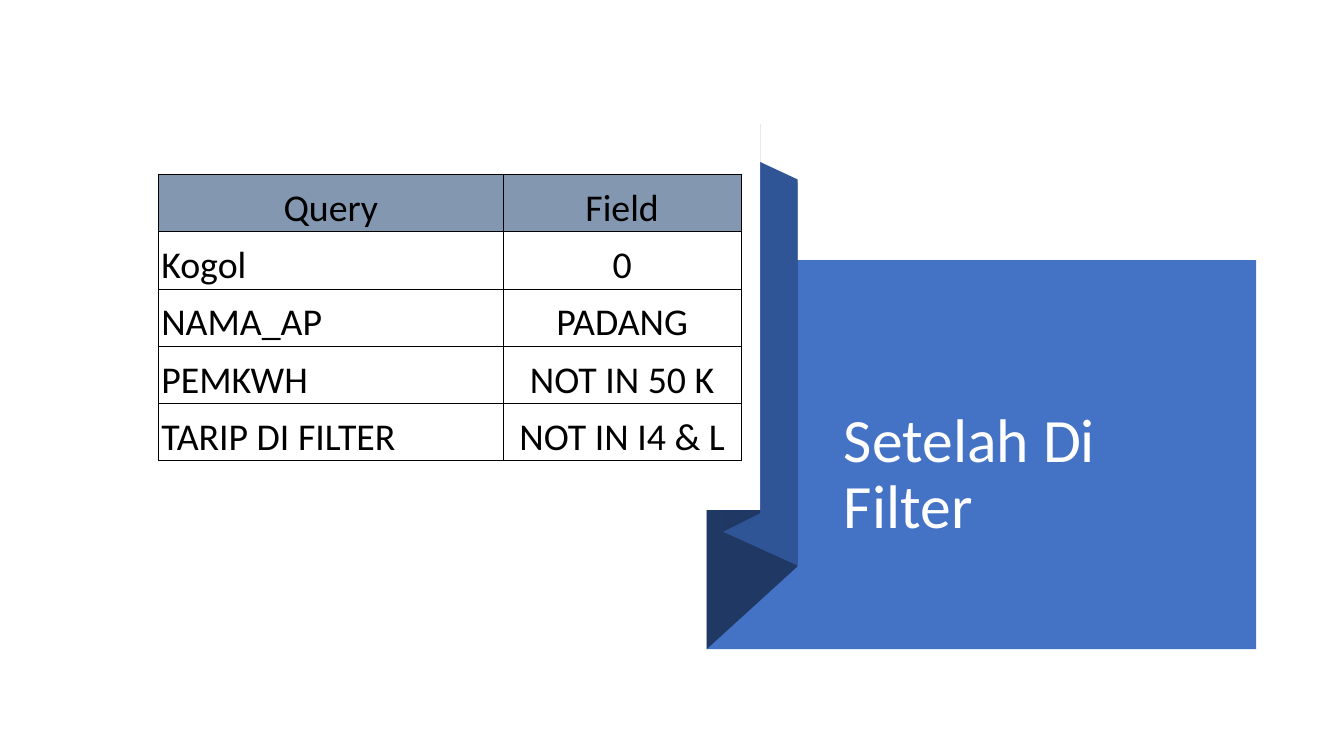
from lxml.etree import SubElement
from pptx import Presentation
from pptx.dml.color import RGBColor
from pptx.enum.shapes import MSO_SHAPE
from pptx.enum.text import MSO_ANCHOR, MSO_AUTO_SIZE, PP_ALIGN
from pptx.oxml.ns import qn
from pptx.util import Inches, Pt

COLORS = {
    "panel": "4472C4",
    "fold": "2F5597",
    "shade": "203864",
    "header": "8497B0",
    "paper": "FFFFFF",
    "ink": "000000",
}
FONT = "Calibri"
FILTERS = [
    ("Query", "Field"),
    ("Kogol", "0"),
    ("NAMA_AP", "PADANG"),
    ("PEMKWH", "NOT IN 50 K"),
    ("TARIP DI FILTER", "NOT IN I4 & L"),
]
RIBBON = [
    ("shade", [(0.9, 4.39), (0, 5.21), (0, 1.4), (0.9, 0.58)]),
    ("fold", [(0.9, 4.38), (0.15, 4.04), (0.15, 0.2), (0.9, 0.55)]),
    ("shade", [(0.53, 3.86), (0.15, 4.05), (0.15, 0.19), (0.53, 0)]),
]


def rgb(name):
    """Return the palette colour with this name."""
    return RGBColor.from_string(COLORS[name])


def paint(shape, color):
    """Give a shape a flat fill without line or shadow."""
    shape.shadow.inherit = False
    shape.fill.solid()
    shape.fill.fore_color.rgb = rgb(color)
    shape.line.fill.background()


def add_block(slide, box, color):
    """Add a plain rectangle that fills the box."""
    block = slide.shapes.add_shape(MSO_SHAPE.RECTANGLE, *map(Inches, box))
    paint(block, color)
    return block


def write(paragraph, text, size, color):
    """Add one formatted run to a paragraph."""
    run = paragraph.add_run()
    run.text = text
    run.font.name = FONT
    run.font.size = Pt(size)
    run.font.color.rgb = rgb(color)


def add_title_panel(slide, box):
    """Set the title on a blue panel that fills the box."""
    left, top, width, height = box
    panel = add_block(slide, box, "panel")
    title = slide.shapes.title
    panel.element.addnext(title.element)
    title.left, title.top = Inches(left + 1.26), Inches(top + 0.4)
    title.width, title.height = Inches(width - 1.61), Inches(height - 1.41)
    frame = title.text_frame
    frame.word_wrap = True
    frame.auto_size = MSO_AUTO_SIZE.NONE
    frame.vertical_anchor = MSO_ANCHOR.BOTTOM
    heading = frame.paragraphs[0]
    heading.alignment = PP_ALIGN.LEFT
    heading.line_spacing = 0.9
    heading.space_after = Pt(6)
    write(heading, "Setelah Di Filter", 44, "paper")


def add_ribbon(slide, left, top):
    """Draw the folded ribbon from its top left corner."""
    for color, offsets in RIBBON:
        corners = [(Inches(left + x), Inches(top + y)) for x, y in offsets]
        outline = slide.shapes.build_freeform(*corners[0])
        outline.add_line_segments(corners[1:], close=True)
        paint(outline.convert_to_shape(), color)


def add_borders(cell):
    """Draw a thin line on all four sides of a cell."""
    properties = cell._tc.get_or_add_tcPr()
    for position, side in enumerate(("a:lnL", "a:lnR", "a:lnT", "a:lnB")):
        line = properties.makeelement(qn(side), {"w": str(Pt(0.5))})
        properties.insert(position, line)
        fill = SubElement(line, qn("a:solidFill"))
        SubElement(fill, qn("a:srgbClr"), val=COLORS["ink"])


def add_filter_table(slide, box):
    """Place the table of filters on its white card, which fills the box."""
    left, top, width, height = box
    add_block(slide, box, "paper")
    table_width, row_height = width - 0.38, 0.568
    table = slide.shapes.add_table(
        len(FILTERS), 2, Inches(left + 0.19), Inches(top + 0.51),
        Inches(table_width), Inches(row_height * len(FILTERS))).table
    table.horz_banding = False
    for column, share in zip(table.columns, (0.592, 0.408)):
        column.width = Inches(table_width * share)
    for r, entries in enumerate(FILTERS):
        for c, entry in enumerate(entries):
            cell = table.cell(r, c)
            cell.margin_left = cell.margin_right = cell.margin_top = Inches(0.03)
            cell.margin_bottom = 0
            cell.vertical_anchor = MSO_ANCHOR.BOTTOM
            cell.fill.solid()
            cell.fill.fore_color.rgb = rgb("paper" if r else "header")
            add_borders(cell)
            paragraph = cell.text_frame.paragraphs[0]
            paragraph.alignment = PP_ALIGN.LEFT if r and not c else PP_ALIGN.CENTER
            write(paragraph, entry, 27, "ink")


def main():
    """Build the slide and save it."""
    deck = Presentation()
    deck.slide_width, deck.slide_height = Inches(13.33), Inches(7.5)
    slide = deck.slides.add_slide(deck.slide_layouts[5])
    add_title_panel(slide, (7.01, 2.58, 5.45, 3.86))
    add_ribbon(slide, 7.01, 1.23)
    add_filter_table(slide, (1.38, 1.22, 6.16, 3.84))
    deck.save("out.pptx")


if __name__ == "__main__":
    main()
